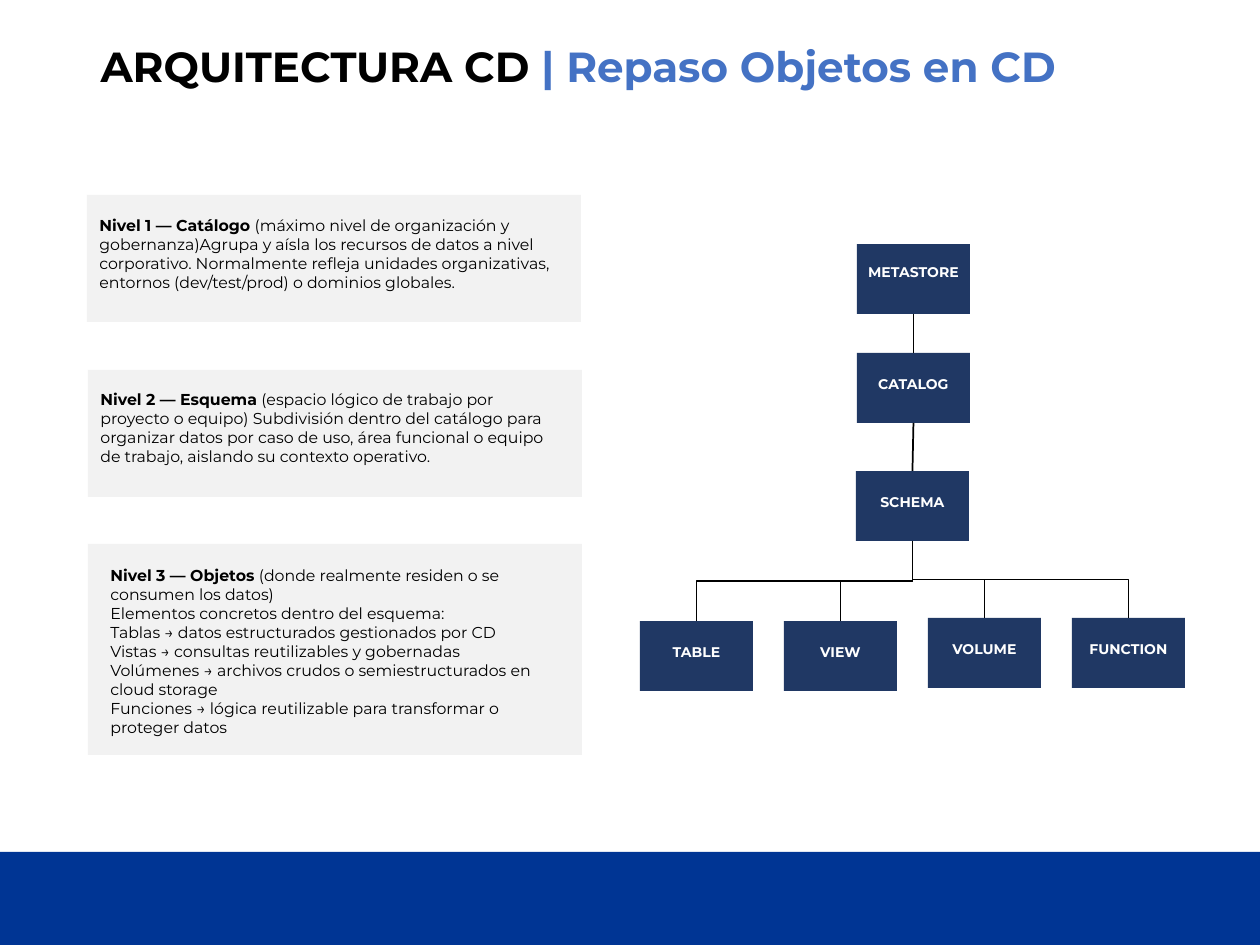
import pptx
import pptx.dml.color
import pptx.enum.shapes
import pptx.enum.text
import pptx.oxml.ns
import pptx.util
from lxml import etree

PX = 914400 / 126
FONT = "Montserrat"
BLACK, WHITE, BLUE = "000000", "FFFFFF", "4472C4"
NAVY, PALE, FOOTER = "203864", "F2F2F2", "003594"
NODE_W, NODE_H = 113, 70
BOTTOM, TOP = 2, 0

ALIGN = pptx.enum.text.PP_ALIGN
ANCHOR = pptx.enum.text.MSO_ANCHOR
CONNECTOR = pptx.enum.shapes.MSO_CONNECTOR

# Each level: panel box, text box, paragraphs of (text, bold) runs
LEVELS = [
    ((87, 195, 494, 127), (87, 210, 484, 90), [
        [("Nivel 1 — Catálogo ", True),
         ("(máximo nivel de organización y gobernanza)Agrupa y aísla los recursos "
          "de datos a nivel corporativo. Normalmente refleja unidades organizativas, "
          "entornos (dev/test/prod) o dominios globales.", False)]]),
    ((88, 370, 494, 127), (88, 384, 484, 90), [
        [("Nivel 2 — Esquema ", True),
         ("(espacio lógico de trabajo por proyecto o equipo) Subdivisión dentro del "
          "catálogo para organizar datos por caso de uso, área funcional o equipo de "
          "trabajo, aislando su contexto operativo.", False)]]),
    ((88, 544, 494, 211), (98, 560, 484, 184), [
        [("Nivel 3 — Objetos ", True),
         ("(donde realmente residen o se consumen los datos)", False)],
        [("Elementos concretos dentro del esquema:", False)],
        [("Tablas → datos estructurados gestionados por CD", False)],
        [("Vistas → consultas reutilizables y gobernadas", False)],
        [("Volúmenes → archivos crudos o semiestructurados en cloud storage", False)],
        [("Funciones → lógica reutilizable para transformar o proteger datos", False)]]),
]


def px(value):
    return pptx.util.Emu(round(value * PX))


def rgb(value):
    return pptx.dml.color.RGBColor.from_string(value)


def add_run(paragraph, text, size=9, color=BLACK, bold=False):
    run = paragraph.add_run()
    run.text = text
    run.font.name = FONT
    run.font.size = pptx.util.Pt(size)
    run.font.bold = bold
    run.font.color.rgb = rgb(color)


def add_block(slide, box, color):
    block = slide.shapes.add_shape(
        pptx.enum.shapes.MSO_SHAPE.RECTANGLE, *map(px, box))
    block.shadow.inherit = False
    block.fill.solid()
    block.fill.fore_color.rgb = rgb(color)
    block.line.fill.background()
    return block


def add_text(slide, box, paragraphs, align=ALIGN.LEFT, **run_format):
    frame = slide.shapes.add_textbox(*map(px, box)).text_frame
    frame.word_wrap = True
    for i, runs in enumerate(paragraphs):
        paragraph = frame.add_paragraph() if i else frame.paragraphs[0]
        paragraph.alignment = align
        for text, bold in runs:
            add_run(paragraph, text, bold=bold, **run_format)


def add_node(slide, label, x, y, label_dy=16):
    node = add_block(slide, (x, y, NODE_W, NODE_H), NAVY)
    add_text(slide, (x - 5, y + label_dy, NODE_W + 10, 43), [[(label, True)]],
             align=ALIGN.CENTER, size=8, color=WHITE)
    return node


def add_link(slide, parent, child, kind=CONNECTOR.STRAIGHT):
    link = slide.shapes.add_connector(kind, 0, 0, 0, 0)
    link.begin_connect(parent, BOTTOM)
    link.end_connect(child, TOP)
    link.line.color.rgb = rgb(BLACK)
    link.line.width = pptx.util.Pt(1)
    etree.SubElement(link._element.spPr, pptx.oxml.ns.qn("a:effectLst"))
    return link


def add_branch(slide, parent, child):
    """Elbow link that leaves downwards: a quarter-turned bent connector."""
    link = add_link(slide, parent, child, CONNECTOR.ELBOW)
    run, drop = link.end_x - link.begin_x, link.end_y - link.begin_y
    middle_x = (link.begin_x + link.end_x) // 2
    middle_y = (link.begin_y + link.end_y) // 2
    link.width, link.height = drop, abs(run)
    link.left, link.top = middle_x - drop // 2, middle_y - abs(run) // 2
    xfrm = link._element.spPr.xfrm
    xfrm.set("flipH", "1" if run > 0 else "0")
    xfrm.set("rot", str((270 if run > 0 else 90) * 60000))


def add_title(slide):
    title = slide.shapes.title
    title.left, title.top, title.width, title.height = map(px, (88, 32, 1086, 74))
    frame = title.text_frame
    frame.vertical_anchor = ANCHOR.MIDDLE
    paragraph = frame.paragraphs[0]
    paragraph.alignment = ALIGN.LEFT
    paragraph.line_spacing = 0.9
    add_run(paragraph, "ARQUITECTURA CD ", size=24, bold=True)
    add_run(paragraph, "| Repaso Objetos en CD", size=24, color=BLUE, bold=True)


def add_hierarchy(slide):
    metastore = add_node(slide, "METASTORE", 857, 244, label_dy=13)
    catalog = add_node(slide, "CATALOG", 857, 353)
    schema = add_node(slide, "SCHEMA", 856, 471)
    add_link(slide, metastore, catalog)
    add_link(slide, catalog, schema)
    leaves = [("TABLE", 621), ("VIEW", 621), ("VOLUME", 618), ("FUNCTION", 618)]
    for i, (label, y) in enumerate(leaves):
        add_branch(slide, schema, add_node(slide, label, 640 + 144 * i, y))


def main():
    deck = pptx.Presentation()
    deck.slide_width, deck.slide_height = px(1260), px(945)
    slide = deck.slides.add_slide(deck.slide_layouts[5])

    # Footer band and title
    add_block(slide, (0, 852, 1260, 93), FOOTER)
    add_title(slide)

    # Object hierarchy
    add_hierarchy(slide)

    # Level descriptions
    for panel, text_box, paragraphs in LEVELS:
        add_block(slide, panel, PALE)
        add_text(slide, text_box, paragraphs)

    deck.save("out.pptx")


if __name__ == "__main__":
    main()
